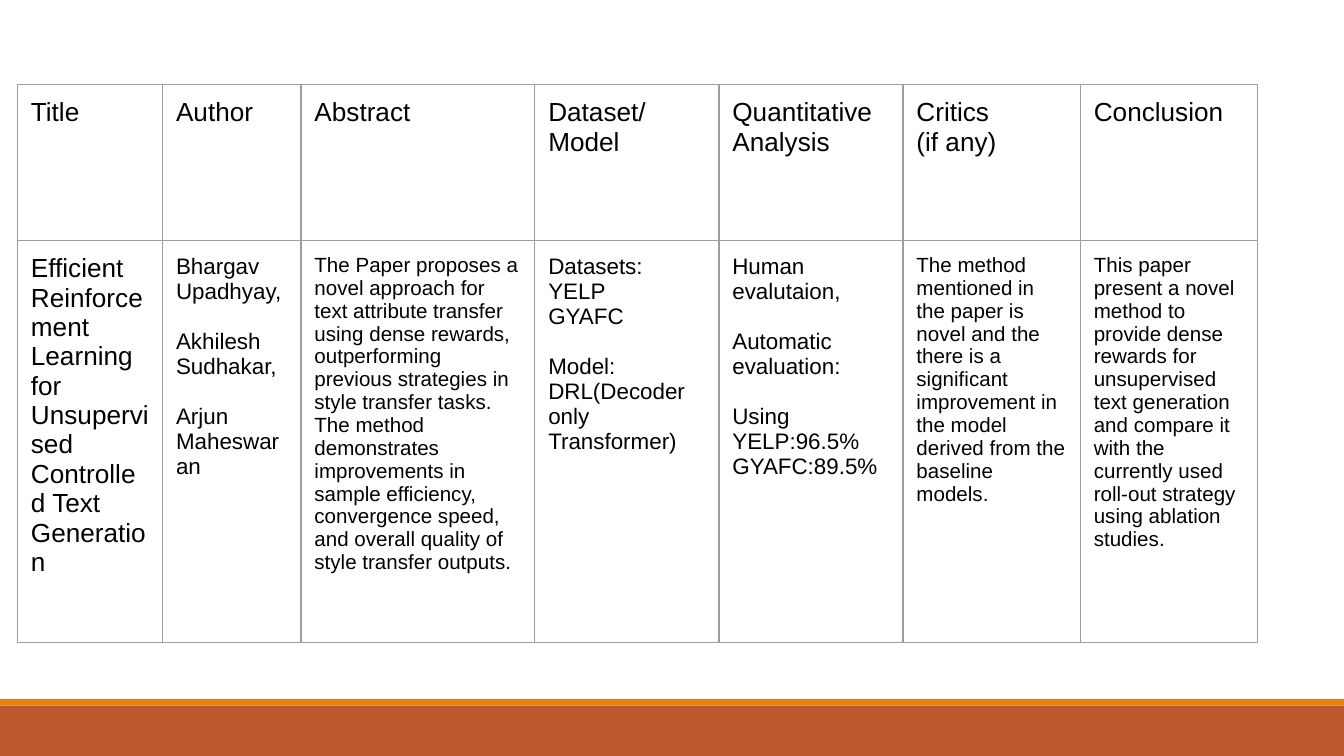
from lxml import etree
from pptx import Presentation
from pptx import util as u
from pptx.dml.color import RGBColor
from pptx.enum import shapes
from pptx.oxml import ns

BLACK = RGBColor(0x00, 0x00, 0x00)
GRAY = RGBColor(0x9E, 0x9E, 0x9E)
RUST = RGBColor(0xBD, 0x58, 0x2C)
ORANGE = RGBColor(0xE4, 0x83, 0x12)

COLUMNS = [
    (1.08, "Title", 14,
     "Efficient Reinforcement Learning for Unsupervised Controlled Text Generation"),
    (1.03, "Author", 12,
     "Bhargav Upadhyay,\n\nAkhilesh Sudhakar,\n\nArjun Maheswaran"),
    (1.74, "Abstract", 11,
     "The Paper proposes a novel approach for text attribute transfer using dense "
     "rewards, outperforming previous strategies in style transfer tasks. The method "
     "demonstrates improvements in sample efficiency, convergence speed, and overall "
     "quality of style transfer outputs."),
    (1.37, "Dataset/\nModel", 12,
     "Datasets:\nYELP\nGYAFC\n\nModel:\nDRL(Decoder only Transformer)"),
    (1.37, "Quantitative\nAnalysis", 12,
     "Human evalutaion,\n\nAutomatic evaluation:\n\nUsing YELP:96.5%\nGYAFC:89.5%"),
    (1.32, "Critics\v(if any)", 11,
     "The method mentioned in the paper is novel and the there is a significant "
     "improvement in the model derived from the baseline models."),
    (1.32, "Conclusion", 11,
     "This paper present a novel method to provide dense rewards for unsupervised "
     "text generation and compare it with the currently used roll-out strategy using "
     "ablation studies."),
]
ROWS = [1.16, 2.99]


def write(cell, content, size):
    tf = cell.text_frame
    for i, block in enumerate(content.split("\n\n")):
        for j, line in enumerate(block.split("\n")):
            p = tf.paragraphs[0] if i == j == 0 else tf.add_paragraph()
            p.text = line
            if i and not j:
                p.space_before = u.Pt(13.4)
            for r in p.runs:
                r.font.size = u.Pt(size)
                r.font.name = "Arial"
                r.font.color.rgb = BLACK


def outline(cell):
    tc_pr = cell._tc.get_or_add_tcPr()
    for side in "LRTB":
        ln = etree.SubElement(tc_pr, ns.qn(f"a:ln{side}"), w=str(u.Pt(0.75)))
        fill = etree.SubElement(ln, ns.qn("a:solidFill"))
        etree.SubElement(fill, ns.qn("a:srgbClr"), val=str(GRAY))


prs = Presentation()
prs.slide_width = u.Inches(10)
prs.slide_height = prs.slide_width * 9 // 16
s = prs.slides.add_slide(prs.slide_layouts[6])

band = prs.slide_height // 15
stripe = u.Inches(0.05)
band_top = prs.slide_height - band
for top, height, color in [(band_top, band, RUST), (band_top - stripe, stripe, ORANGE)]:
    sp = s.shapes.add_shape(shapes.MSO_SHAPE.RECTANGLE, 0, top, prs.slide_width, height)
    sp.shadow.inherit = False
    sp.fill.solid()
    sp.fill.fore_color.rgb = color
    sp.line.fill.background()

width = sum(c[0] for c in COLUMNS)
table = s.shapes.add_table(len(ROWS), len(COLUMNS), u.Inches(0.13), u.Inches(0.63),
                           u.Inches(width), u.Inches(sum(ROWS))).table
table.first_row = table.horz_banding = False
for row, height in zip(table.rows, ROWS):
    row.height = u.Inches(height)

for i, (width, heading, size, body) in enumerate(COLUMNS):
    table.columns[i].width = u.Inches(width)
    for j, (content, pt) in enumerate([(heading, 14), (body, size)]):
        cell = table.cell(j, i)
        cell.margin_left = cell.margin_right = u.Inches(0.1)
        cell.margin_top = cell.margin_bottom = u.Inches(0.1)
        write(cell, content, pt)
        outline(cell)
        cell.fill.background()

prs.save("out.pptx")
